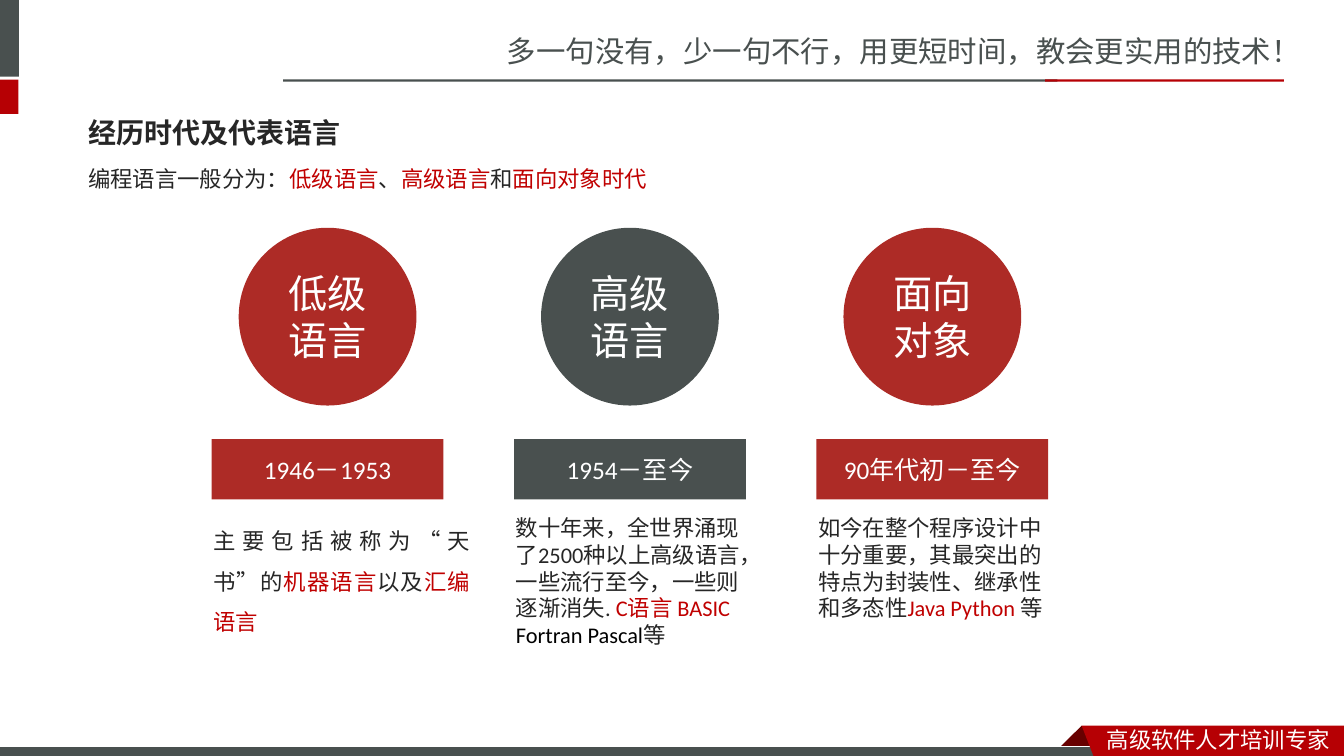
import pptx
import pptx.util
import pptx.dml.color
import pptx.enum.shapes
import pptx.enum.text
import pptx.oxml

Pt = pptx.util.Pt
Shape = pptx.enum.shapes.MSO_SHAPE
Align = pptx.enum.text.PP_ALIGN
Anchor = pptx.enum.text.MSO_ANCHOR

THEME = {
    "gray": "49504F", "red": "B60004", "brick": "AD2B26", "dark": "680000",
    "ink": "262626", "key": "C00000", "black": "000000", "white": "FFFFFF",
    "latin": "Calibri", "asian": "Noto Sans CJK SC", "bold": "Noto Sans CJK JP",
    "slogan": 21, "title": 20, "disc": 28, "date": 18, "body": 16,
}

# Paragraphs are lists of (text, colour) runs.
SLOGAN = [[("多一句没有，少一句不行，用更短时间，教会更实用的技术！", "gray")]]
TAGLINE = [[("高级软件人才培训专家", "white")]]
TITLE = [[("经历时代及代表语言", "ink")]]
INTRO = [[("编程语言一般分为：", "ink"), ("低级语言", "key"), ("、", "ink"),
          ("高级语言", "key"), ("和", "ink"), ("面向对象时代", "key")]]
ERAS = [
    {"name": "低级语言", "date": "1946－1953", "fill": "brick", "wide": 197.5,
     "format": {"align": Align.JUSTIFY, "spacing": 1.5},
     "note": [[("主要包括被称为“天书”的", "ink"), ("机器语言", "key"),
               ("以及", "ink"), ("汇编语言", "key")]]},
    {"name": "高级语言", "date": "1954－至今", "fill": "gray", "wide": 179.5,
     "format": {},
     "note": [[("数十年来，全世界涌现了2500种以上高级语言，一些流行至今，"
                "一些则逐渐消失. ", "ink"), ("C语言 BASIC", "key")],
              [("Fortran Pascal", "black"), ("等", "ink")]]},
    {"name": "面向对象", "date": "90年代初－至今", "fill": "brick", "wide": 179.5,
     "format": {},
     "note": [[("如今在整个程序设计中十分重要，其最突出的特点为封装性、"
                "继承性和多态性", "ink"), ("Java Python ", "key"), ("等", "ink")]]},
]
# Left, top, width, height, colour
BARS = [
    (-4.5, 0, 18, 54.7, "gray"), (-4.5, 56.9, 17.6, 24.5, "red"),
    (202.3, 56.7, 553, 1.6, "gray"), (746.6, 56.7, 170.6, 1.6, "red"),
]
FOLD = [(772.6, 518.4), (788.4, 534.2), (787.7, 535), (757.4, 535), (756.7, 534.2)]
RIBBON = [(772.6, 518.4), (960, 518.4), (960, 542.9), (781.9, 542.2)]
MID, STEP = 234, 216  # centre of the first era, distance to the next
DISC, DATE = 127, 165.6  # disc diameter, date width


def color(name):
    return pptx.dml.color.RGBColor.from_string(THEME[name])


def write(shape, text, size="body", face="latin", asian="asian", bold=False,
          align=None, spacing=None, anchor=Anchor.TOP, wrap=True, side=7.2):
    frame = shape.text_frame
    frame.word_wrap = wrap
    frame.vertical_anchor = anchor
    frame.margin_left = frame.margin_right = Pt(side)
    for i, runs in enumerate(text):
        para = frame.paragraphs[0] if i == 0 else frame.add_paragraph()
        para.alignment = align
        para.line_spacing = spacing
        for words, tint in runs:
            run = para.add_run()
            run.text = words
            font = run.font
            font.size, font.bold, font.name = Pt(THEME[size]), bold, THEME[face]
            font.color.rgb = color(tint)
            east = pptx.oxml.parse_xml(
                '<a:ea xmlns:a="http://schemas.openxmlformats.org/drawingml/2006/main"'
                f' typeface="{THEME[asian]}"/>')
            run._r.get_or_add_rPr().append(east)


def paint(shape, fill, line=None):
    shape.shadow.inherit = False
    shape.fill.solid()
    shape.fill.fore_color.rgb = color(fill)
    if line:
        shape.line.color.rgb = color(line)
        shape.line.width = Pt(0.75)
    else:
        shape.line.fill.background()
    return shape


def block(slide, kind, box, fill, line=None):
    return paint(slide.shapes.add_shape(kind, *map(Pt, box)), fill, line)


def outline(slide, dots, fill):
    first, *rest = [(Pt(x), Pt(y)) for x, y in dots]
    form = slide.shapes.build_freeform(*first)
    form.add_line_segments(rest, close=True)
    paint(form.convert_to_shape(), fill)


def label(slide, box, text, **style):
    write(slide.shapes.add_textbox(*map(Pt, box)), text, **style)


def frame(slide):
    """Draw the header and footer bands."""
    label(slide, (355, 20.2, 605.5, 32.4), SLOGAN, size="slogan", face="asian")
    for *box, fill in BARS:
        block(slide, Shape.RECTANGLE, box, fill)
    outline(slide, FOLD, "dark")
    block(slide, Shape.RECTANGLE, (-0.7, 533.5, 792, 8.6), "gray", "white")
    outline(slide, RIBBON, "red")
    label(slide, (783.4, 514.8, 176.4, 26.6), TAGLINE, face="asian")


def column(slide, mid, era):
    center = {"align": Align.CENTER, "anchor": Anchor.MIDDLE}
    disc = block(slide, Shape.OVAL, (mid - DISC / 2, 162.7, DISC, DISC), era["fill"])
    write(disc, [[(era["name"], "white")]], size="disc", **center)
    date = block(slide, Shape.RECTANGLE, (mid - DATE / 2, 313.7, DATE, 43), era["fill"])
    write(date, [[(era["date"], "white")]], size="date", side=0, **center)
    label(slide, (mid - 88.6, 363.6, era["wide"], 104), era["note"], **era["format"])


def main():
    deck = pptx.Presentation()
    deck.slide_width, deck.slide_height = Pt(960), Pt(540)
    slide = deck.slides.add_slide(deck.slide_layouts[6])
    frame(slide)
    label(slide, (56, 74.2, 846.7, 41), TITLE, size="title", face="bold",
          asian="bold", bold=True, anchor=Anchor.MIDDLE)
    for i, era in enumerate(ERAS):
        column(slide, MID + i * STEP, era)
    label(slide, (56, 114.5, 418.3, 39.6), INTRO, wrap=False)
    deck.save("out.pptx")


if __name__ == "__main__":
    main()
